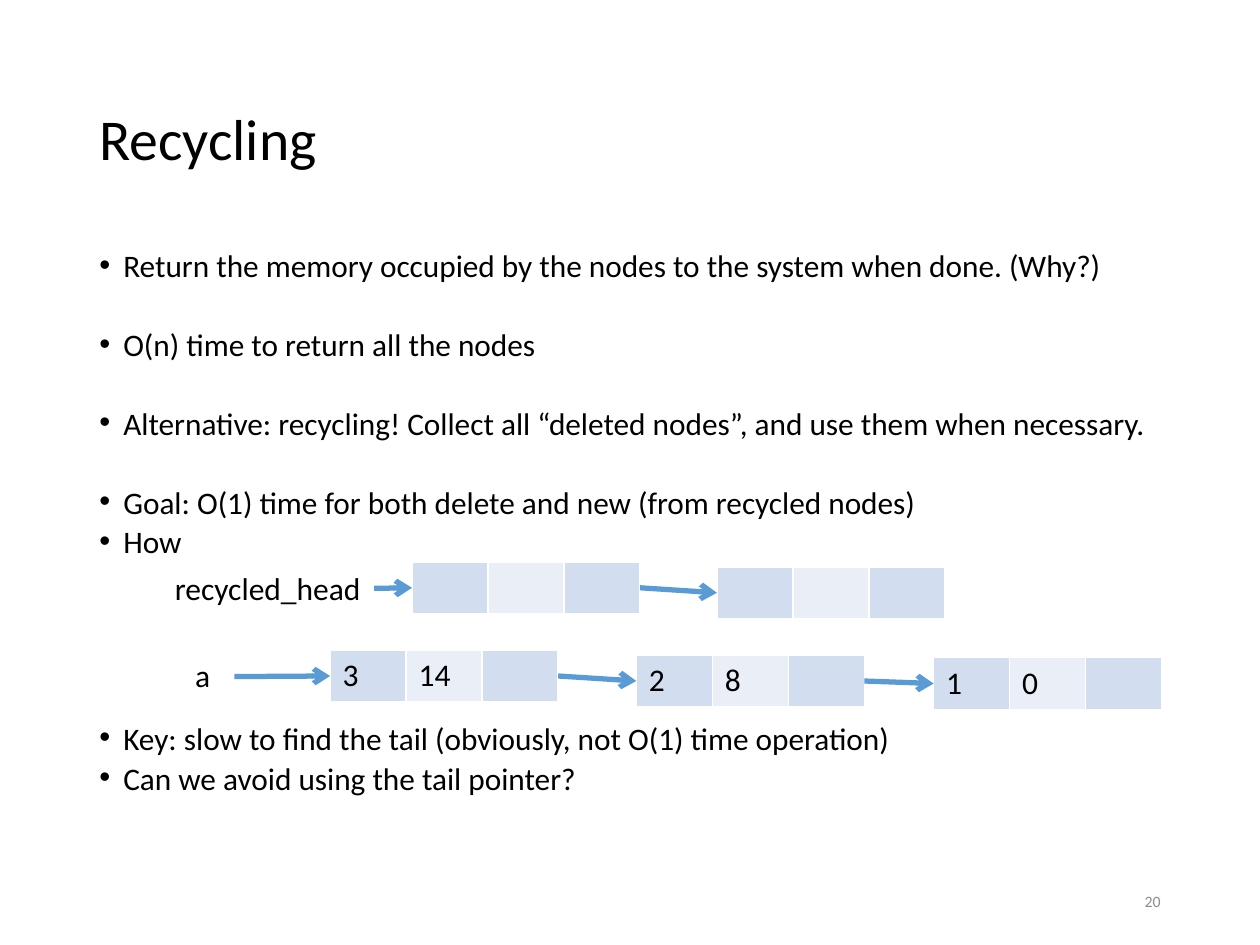
from lxml import etree
from pptx import Presentation
from pptx.dml.color import RGBColor
from pptx.enum.shapes import MSO_CONNECTOR
from pptx.enum.text import MSO_ANCHOR, MSO_AUTO_SIZE, PP_ALIGN
from pptx.oxml.ns import qn
from pptx.util import Inches, Pt

LINE = MSO_CONNECTOR.STRAIGHT
MIDDLE = MSO_ANCHOR.MIDDLE
GROW = MSO_AUTO_SIZE.SHAPE_TO_FIT_TEXT
LEFT, RIGHT = PP_ALIGN.LEFT, PP_ALIGN.RIGHT

FONT = "Calibri"
COLORS = {"text": "000000", "page": "8C8C8C", "arrow": "5B9BD5",
          "dark": "D2DEEF", "light": "EAEFF7", "edge": "FFFFFF"}
TITLE = "Recycling"
PAGE = "20"
BULLETS = [
    ("Return the memory occupied by the nodes to the system when done. (Why?)", 0),
    ("O(n) time to return all the nodes", 1),
    ("Alternative: recycling! Collect all “deleted nodes”, and use them when necessary.", 1),
    ("Goal: O(1) time for both delete and new (from recycled nodes)", 1),
    ("How", 0),
    ("Key: slow to find the tail (obviously, not O(1) time operation)", 4),
    ("Can we avoid using the tail pointer?", 0),
]
LISTS = [
    {"label": "recycled_head", "box": (1.29, 4.47, 1.7, 0.4), "start": (2.97, 4.67),
     "nodes": [(3.27, 4.46, ("", "", "")), (5.69, 4.5, ("", "", ""))]},
    {"label": "a", "box": (1.45, 5.16, 0.33, 0.4), "start": (1.86, 5.37),
     "nodes": [(2.62, 5.16, ("3", "14", "")), (5.05, 5.2, ("2", "8", "")),
               (7.41, 5.22, ("1", "0", ""))]},
]
NODE_W, NODE_H = 1.81, 0.41
SPACE, PITCH = 7.5, 22.5


def color(name):
    return RGBColor.from_string(COLORS[name])


def style(para, size, name="text"):
    para.font.name = FONT
    para.font.size = Pt(size)
    para.font.color.rgb = color(name)


def add_text(slide, box, text, size, name="text"):
    frame = slide.shapes.add_textbox(*map(Inches, box)).text_frame
    para = frame.paragraphs[0]
    para.text = text
    style(para, size, name)
    return frame


def add_title(slide):
    title = slide.shapes.title
    title.left, title.top, title.width, title.height = map(Inches, (0.69, 0.4, 8.62, 1.45))
    title.text_frame.text = TITLE
    title.text_frame.vertical_anchor = MIDDLE
    para = title.text_frame.paragraphs[0]
    para.alignment = LEFT
    para.line_spacing = 0.9
    style(para, 33)


def add_bullets(slide):
    frame = slide.shapes.add_textbox(*map(Inches, (0.69, 1.99, 8.62, 4.76))).text_frame
    frame.word_wrap = True
    for i, (text, gap) in enumerate(BULLETS):
        para = frame.add_paragraph() if i else frame.paragraphs[0]
        para.text = text
        para.line_spacing = 0.7
        para.space_before = Pt(SPACE + gap * PITCH)
        style(para, 17.9)
        props = para._p.get_or_add_pPr()
        props.set("marL", str(Inches(0.19)))
        props.set("indent", str(-Inches(0.19)))
        mark = etree.Element(qn("a:buFont"), typeface="Arial")
        dot = etree.Element(qn("a:buChar"), char="•")
        props.find(qn("a:spcBef")).addnext(mark)
        mark.addnext(dot)


def add_edges(cell):
    props = cell._tc.get_or_add_tcPr()
    for i, side in enumerate(("lnL", "lnR", "lnT", "lnB")):
        edge = etree.Element(qn("a:" + side), w=str(Pt(1)))
        fill = etree.SubElement(edge, qn("a:solidFill"))
        etree.SubElement(fill, qn("a:srgbClr"), val=COLORS["edge"])
        props.insert(i, edge)


def add_node(slide, x, y, values):
    box = map(Inches, (x, y, NODE_W, NODE_H))
    table = slide.shapes.add_table(1, len(values), *box).table
    table.first_row = False
    table.horz_banding = False
    for i, value in enumerate(values):
        cell = table.cell(0, i)
        cell.text = value
        style(cell.text_frame.paragraphs[0], 18)
        cell.fill.solid()
        cell.fill.fore_color.rgb = color("light" if i % 2 else "dark")
        add_edges(cell)


def add_arrow(slide, start, end):
    arrow = slide.shapes.add_connector(LINE, *map(Inches, start + end))
    arrow.line.color.rgb = color("arrow")
    arrow.line.width = Pt(3)
    etree.SubElement(arrow.line._get_or_add_ln(), qn("a:tailEnd"), type="arrow")
    etree.SubElement(arrow._element.spPr, qn("a:effectLst"))


def main():
    deck = Presentation()
    deck.slide_width, deck.slide_height = Inches(10), Inches(7.5)
    slide = deck.slides.add_slide(deck.slide_layouts[5])
    add_title(slide)
    add_bullets(slide)
    page = add_text(slide, (7.06, 6.95, 2.25, 0.4), PAGE, 9, "page")
    page.word_wrap = True
    page.vertical_anchor = MIDDLE
    page.paragraphs[0].alignment = RIGHT
    for chain in LISTS:
        label = add_text(slide, chain["box"], chain["label"], 18)
        label.word_wrap = False
        label.auto_size = GROW
        start = chain["start"]
        for x, y, values in chain["nodes"]:
            mid = y + NODE_H / 2
            add_node(slide, x, y, values)
            add_arrow(slide, start, (x, mid))
            start = (x + NODE_W, mid)
    deck.save("out.pptx")


if __name__ == "__main__":
    main()
